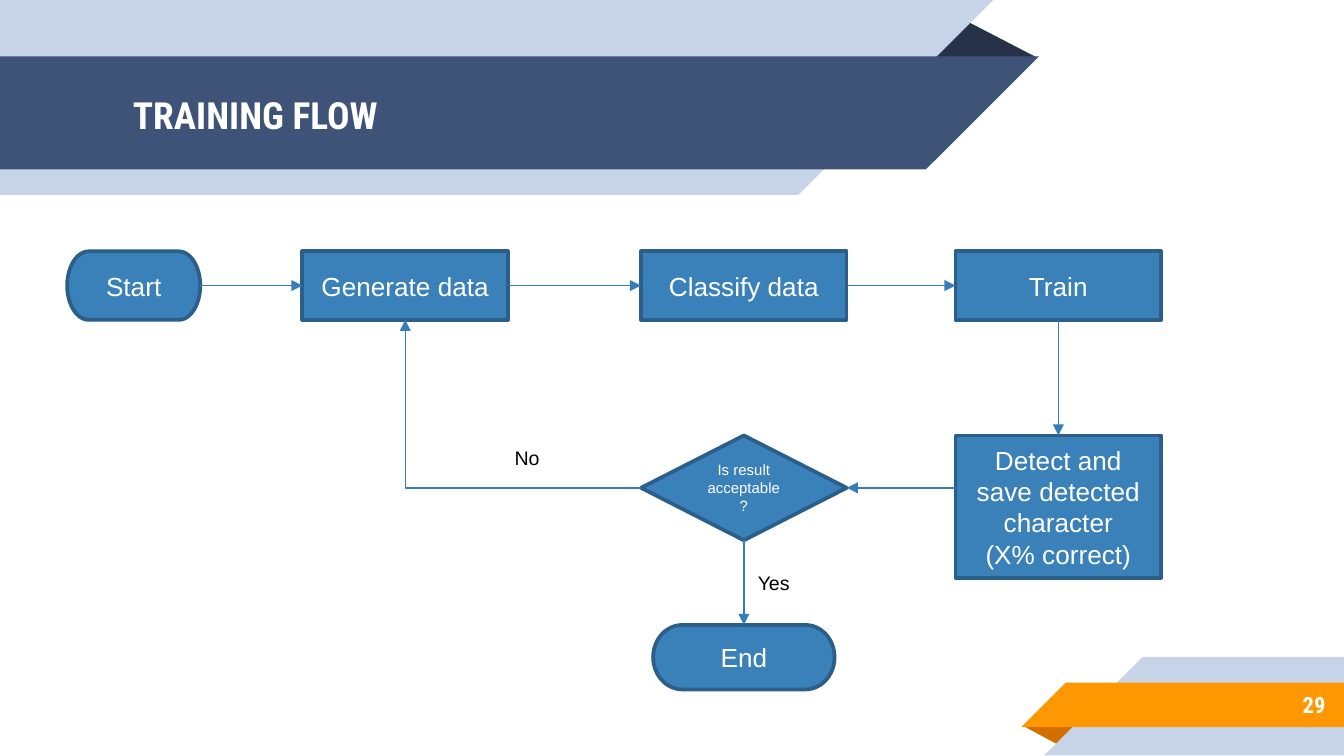
from pptx import Presentation
from pptx.dml.color import RGBColor
from pptx.enum.shapes import MSO_CONNECTOR, MSO_SHAPE
from pptx.enum.text import MSO_ANCHOR, PP_ALIGN
from pptx.oxml.ns import qn
from pptx.util import Pt
from lxml import etree

RECT, OVAL, RHOMB = MSO_SHAPE.RECTANGLE, MSO_SHAPE.FLOWCHART_TERMINATOR, MSO_SHAPE.DIAMOND
STRAIGHT, ELBOW = MSO_CONNECTOR.STRAIGHT, MSO_CONNECTOR.ELBOW
LEFT, CENTER, RIGHT = PP_ALIGN.LEFT, PP_ALIGN.CENTER, PP_ALIGN.RIGHT
TOP, MIDDLE = MSO_ANCHOR.TOP, MSO_ANCHOR.MIDDLE

PX = 9144  # 100 px to the inch
WIDE = 1000
HIGH = WIDE * 9 / 16

THEME = {
    "pale": "C7D3E6", "navy": "3F5378", "dark": "263248",
    "gold": "FF9800", "rust": "D26F00",
    "node": "3A81BA", "edge": "2B5F8A", "arrow": "367EB9",
    "white": "FFFFFF", "black": "000000",
    "head": {"name": "Roboto Condensed", "size": Pt(20), "bold": True},
    "page": {"name": "Roboto Condensed", "size": Pt(12), "bold": True},
    "body": {"name": "Arial", "size": Pt(14)},
    "small": {"name": "Arial", "size": Pt(8)},
    "label": {"name": "Arial", "size": Pt(10.5)},
}

# Ribbon outlines, back to front
RIBBONS = [
    ("dark", [(688, 43), (716, 14), (772, 43)]),
    ("pale", [(0, 0), (739, 0), (594, 145), (0, 145)]),
    ("navy", [(0, 42), (773, 42), (689, 126), (0, 126)]),
    ("rust", [(761, 540), (803, 540), (789, 555)]),
    ("pale", [(850, 489), (WIDE, 489), (WIDE, HIGH), (777, HIGH)]),
    ("gold", [(793, 508), (WIDE, 508), (WIDE, 541), (760, 541)]),
]

# Step: shape, box (left, top, width, height), type style, lines
STEPS = {
    "start": (OVAL, (50, 187, 99, 51), "body", ["Start"]),
    "make": (RECT, (225, 187, 153, 51), "body", ["Generate data"]),
    "sort": (RECT, (477, 187, 153, 51), "body", ["Classify data"]),
    "train": (RECT, (711, 187, 153, 51), "body", ["Train"]),
    "detect": (RECT, (711, 324, 153, 106), "body",
               ["Detect and save detected character", "(X% correct)"]),
    "check": (RHOMB, (477, 324, 153, 78), "small", ["Is result acceptable ?"]),
    "end": (OVAL, (486, 465, 135, 48), "body", ["End"]),
}

LINKS = [
    ("start", "make", "right"), ("make", "sort", "right"),
    ("sort", "train", "right"), ("train", "detect", "down"),
    ("detect", "check", "left"), ("check", "end", "down"),
    ("check", "make", "back"),
]

# Text, box, style, colour, alignment, anchor, top inset, wrap
TEXTS = [
    ("TRAINING FLOW", (89, 43, 575, 84), "head", "white", LEFT, MIDDLE, 10, True),
    ("29", (833, 507, 163, 35), "page", "white", RIGHT, MIDDLE, 10, True),
    ("Yes", (554, 420, 46, 28), "label", "black", LEFT, TOP, 5, False),
    ("No", (373, 327, 39, 28), "label", "black", LEFT, TOP, 5, False),
]


def emu(nums):
    return [round(n * PX) for n in nums]


def color(key):
    return RGBColor.from_string(THEME[key])


def paint(shape, fill, line=None):
    shape.shadow.inherit = False
    shape.fill.solid()
    shape.fill.fore_color.rgb = color(fill)
    if line:
        shape.line.color.rgb = color(line)
        shape.line.width = Pt(2)
    else:
        shape.line.fill.background()


def write(frame, lines, style, ink, align, anchor):
    frame.vertical_anchor = anchor
    for i, line in enumerate(lines):
        para = frame.paragraphs[0] if i == 0 else frame.add_paragraph()
        para.alignment = align
        run = para.add_run()
        run.text = line
        for name, value in THEME[style].items():
            setattr(run.font, name, value)
        run.font.color.rgb = color(ink)


def ends(src, dst, way):
    """Facing edge points of two boxes, level with the centre of the target."""
    sx, sy, sw, sh = src
    dx, dy, dw, dh = dst
    midx, midy = dx + dw / 2, dy + dh / 2
    return {
        "right": (sx + sw, midy, dx, midy),
        "left": (sx, midy, dx + dw, midy),
        "down": (midx, sy + sh, midx, dy),
        # laid out from the target, then turned half round
        "back": (midx, dy + dh, sx, sy + sh / 2),
    }[way]


def link(shapes, src, dst, way):
    back = way == "back"
    points = emu(ends(STEPS[src][1], STEPS[dst][1], way))
    wire = shapes.add_connector(ELBOW if back else STRAIGHT, *points)
    wire.line.color.rgb = color("arrow")
    wire.line.width = Pt(0.75)
    props = wire._element.spPr
    etree.SubElement(props.find(qn("a:ln")), qn("a:tailEnd"), type="triangle")
    etree.SubElement(props, qn("a:effectLst"))
    if back:
        props.find(qn("a:xfrm")).set("rot", "10800000")
        props.find(qn("a:prstGeom")).set("prst", "bentConnector2")


def main():
    deck = Presentation()
    deck.slide_width, deck.slide_height = emu((WIDE, HIGH))
    shapes = deck.slides.add_slide(deck.slide_layouts[6]).shapes

    for fill, points in RIBBONS:
        pen = shapes.build_freeform(*points[0], scale=PX)
        pen.add_line_segments(points[1:], close=True)
        paint(pen.convert_to_shape(), fill)

    for kind, box, style, lines in STEPS.values():
        step = shapes.add_shape(kind, *emu(box))
        paint(step, "node", "edge")
        write(step.text_frame, lines, style, "white", CENTER, MIDDLE)

    for src, dst, way in LINKS:
        link(shapes, src, dst, way)

    for text, box, style, ink, align, anchor, inset, wrap in TEXTS:
        frame = shapes.add_textbox(*emu(box)).text_frame
        frame.word_wrap = wrap
        frame.margin_top = frame.margin_bottom = inset * PX
        write(frame, [text], style, ink, align, anchor)

    deck.save("out.pptx")


if __name__ == "__main__":
    main()
